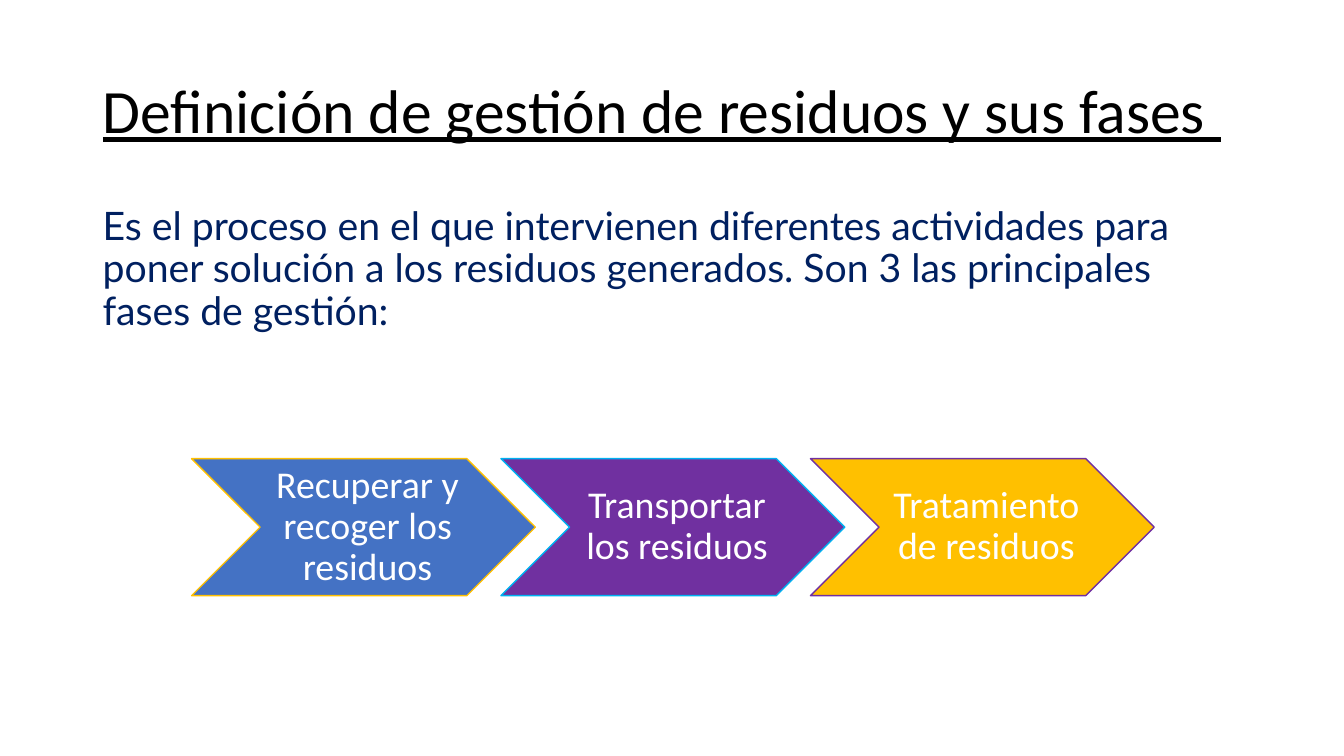
from pptx import Presentation
from pptx.dml.color import RGBColor
from pptx.enum.shapes import MSO_SHAPE as Shape
from pptx.enum.text import MSO_ANCHOR as Anchor, MSO_AUTO_SIZE as AutoSize, PP_ALIGN as Align
from pptx.util import Inches, Pt

BLACK = RGBColor(0x00, 0x00, 0x00)
WHITE = RGBColor(0xFF, 0xFF, 0xFF)
NAVY = RGBColor(0x00, 0x20, 0x60)
BLUE = RGBColor(0x44, 0x72, 0xC4)
PURPLE = RGBColor(0x70, 0x30, 0xA0)
GOLD = RGBColor(0xFF, 0xC0, 0x00)
CYAN = RGBColor(0x00, 0xB0, 0xF0)

PHASES = [
    ("Recuperar y recoger los residuos", BLUE, GOLD),
    ("Transportar los residuos", PURPLE, CYAN),
    ("Tratamiento de residuos", GOLD, PURPLE),
]
PHASE_LEFT, PHASE_TOP = 1.9, 4.55
PHASE_WIDTH, PHASE_HEIGHT = 3.41, 1.36
PHASE_STEP = 0.9 * PHASE_WIDTH


def write(frame, text, size, color, font="Calibri", align=Align.LEFT,
          anchor=Anchor.TOP, underline=None, insets=(0.1, 0.05, 0.1, 0.05)):
    frame.word_wrap = True
    frame.auto_size = AutoSize.NONE
    frame.vertical_anchor = anchor
    (frame.margin_left, frame.margin_top,
     frame.margin_right, frame.margin_bottom) = map(Inches, insets)
    paragraph = frame.paragraphs[0]
    paragraph.alignment = align
    paragraph.line_spacing = 0.9
    paragraph.space_before = Pt(0)
    run = paragraph.add_run()
    run.text = text
    run.font.name = font
    run.font.size = Pt(size)
    run.font.color.rgb = color
    run.font.underline = underline


class SlideBuilder:
    def __init__(self, deck):
        self.slide = deck.slides.add_slide(deck.slide_layouts[5])

    def title(self, text, left, top, width, height):
        heading = self.slide.shapes.title
        heading.left, heading.top = Inches(left), Inches(top)
        heading.width, heading.height = Inches(width), Inches(height)
        write(heading.text_frame, text, 44, BLACK, anchor=Anchor.MIDDLE, underline=True)

    def shape(self, kind, left, top, width, height, fill, line=None):
        shape = self.slide.shapes.add_shape(
            kind, Inches(left), Inches(top), Inches(width), Inches(height))
        shape.shadow.inherit = False
        shape.fill.solid()
        shape.fill.fore_color.rgb = fill
        if line is None:
            shape.line.fill.background()
        else:
            shape.line.color.rgb = line
            shape.line.width = Pt(1)
        return shape

    def definition(self, text, left, top, width, height):
        panel = self.shape(Shape.RECTANGLE, left, top, width, height, WHITE)
        write(panel.text_frame, text, 28, NAVY, font="Lato")

    def phase(self, text, left, fill, line):
        chevron = self.shape(Shape.CHEVRON, left, PHASE_TOP, PHASE_WIDTH,
                             PHASE_HEIGHT, fill, line)
        write(chevron.text_frame, text, 27, WHITE, align=Align.CENTER,
              anchor=Anchor.MIDDLE, insets=(0.12, 0.04, 0.04, 0.04))


def main():
    deck = Presentation()
    deck.slide_width, deck.slide_height = Inches(13.33), Inches(7.5)
    builder = SlideBuilder(deck)
    builder.title("Definición de gestión de residuos y sus fases ", 0.92, 0.4, 11.5, 1.45)
    builder.definition(
        "Es el proceso en el que intervienen diferentes actividades para poner "
        "solución a los residuos generados. Son 3 las principales fases de gestión:",
        0.92, 2, 11.5, 4.76)
    for index, (text, fill, line) in enumerate(PHASES):
        builder.phase(text, PHASE_LEFT + index * PHASE_STEP, fill, line)
    deck.save("out.pptx")


if __name__ == "__main__":
    main()
